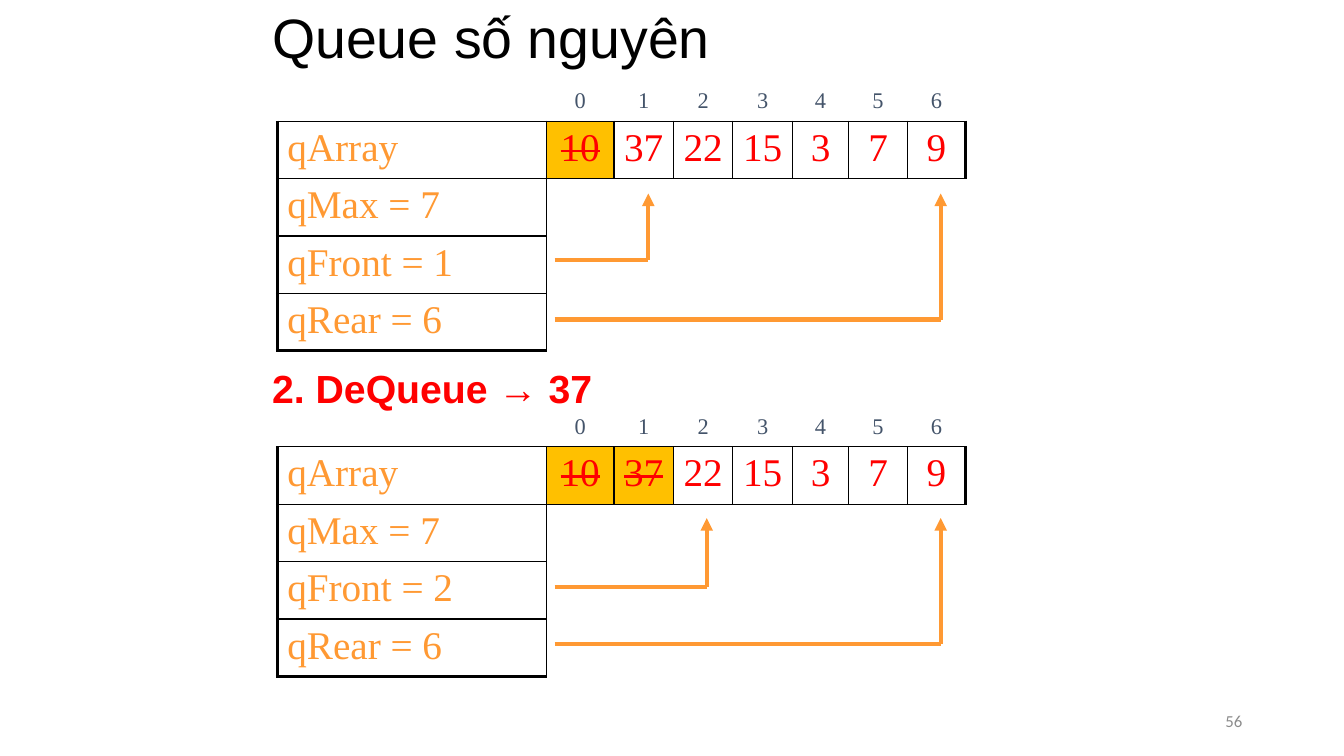
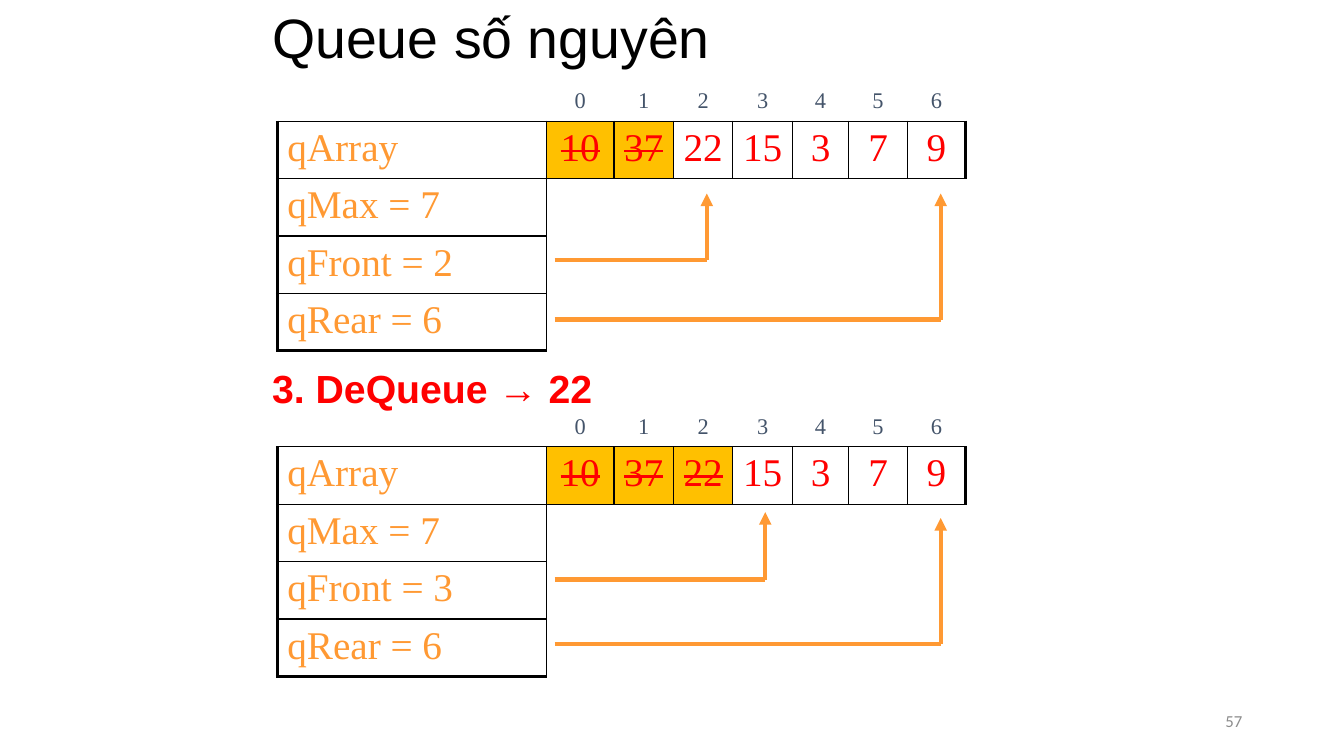
from dataclasses import dataclass

from lxml import etree
from pptx import Presentation
from pptx.dml.color import RGBColor
from pptx.enum.shapes import MSO_CONNECTOR
from pptx.enum.text import MSO_ANCHOR, MSO_AUTO_SIZE, PP_ALIGN
from pptx.oxml.ns import qn
from pptx.util import Inches, Pt

LEFT, CENTER, RIGHT = PP_ALIGN.LEFT, PP_ALIGN.CENTER, PP_ALIGN.RIGHT
TOP, MIDDLE = MSO_ANCHOR.TOP, MSO_ANCHOR.MIDDLE
STRAIGHT = MSO_CONNECTOR.STRAIGHT
NO_AUTOFIT = MSO_AUTO_SIZE.NONE

COLORS = {
    "title": "000000",
    "border": "000000",
    "step": "FF0000",
    "value": "FF0000",
    "label": "FF9933",
    "arrow": "FF9933",
    "removed": "FFC000",
    "index": "44546A",
    "number": "8C8C8C",
}
HEADING_FONT, TABLE_FONT, NUMBER_FONT = "Arial", "Times New Roman", "Calibri"

VALUES = (10, 37, 22, 15, 3, 7, 9)
REAR = len(VALUES) - 1
COLUMN_WIDTHS = (2.67, 0.67, 0.59, 0.59, 0.59, 0.56, 0.58, 0.58)
ROW_HEIGHTS = (0.37, 0.57, 0.57, 0.57, 0.57)
TABLE_LEFT = 2.75
ARROW_LEFT = 5.5
FIRST_TIP, TIP_STEP = 5.85, 0.58
THIN, THICK = 1, 2.25


@dataclass(frozen=True)
class QueueState:
    """A queue after some removals, with the heights of its arrows."""
    top: float
    front: int
    front_y: float
    front_tip: float
    rear_y: float
    rear_tip: float


@dataclass(frozen=True)
class QueuePage:
    number: int
    step: str
    before: QueueState
    after: QueueState


PAGES = (
    QueuePage(56, "2. DeQueue → 37",
              QueueState(0.83, 1, 2.58, 1.92, 3.17, 1.92),
              QueueState(4.06, 2, 5.82, 5.14, 6.39, 5.14)),
    QueuePage(57, "3. DeQueue → 22",
              QueueState(0.83, 2, 2.58, 1.92, 3.17, 1.92),
              QueueState(4.06, 3, 5.75, 5.08, 6.39, 5.14)),
)


def write(frame, text: str, *, font: str, size: float, color: str,
          align=LEFT, bold: bool = False, struck: bool = False):
    para = frame.paragraphs[0]
    para.alignment = align
    span = para.add_run()
    span.text = text
    span.font.name = font
    span.font.size = Pt(size)
    span.font.bold = bold
    span.font.color.rgb = RGBColor.from_string(COLORS[color])
    if struck:
        span.font.element.set("strike", "sngStrike") if hasattr(
            span.font, "element") else span._r.get_or_add_rPr().set("strike", "sngStrike")
    return para


def place(shape, left: float, top: float, width: float, height: float, anchor) -> None:
    shape.left, shape.top = Inches(left), Inches(top)
    shape.width, shape.height = Inches(width), Inches(height)
    frame = shape.text_frame
    frame.word_wrap = True
    frame.auto_size = NO_AUTOFIT
    frame.vertical_anchor = anchor


def add_headings(page, content: QueuePage) -> None:
    title, body = page.shapes.title, page.placeholders[1]
    place(title, 2.6, 0.05, 8.12, 0.7, MIDDLE)
    para = write(title.text_frame, "Queue số nguyên",
                 font=HEADING_FONT, size=39.6, color="title")
    para.line_spacing = 0.9

    place(body, 2.6, 3.62, 8.48, 0.7, TOP)
    para = write(body.text_frame, content.step,
                 font=HEADING_FONT, size=28, color="step", bold=True)
    para.line_spacing = 0.9
    para.space_before = Pt(10)
    properties = para._p.get_or_add_pPr()
    properties.set("marL", "0")
    properties.set("indent", "0")
    etree.SubElement(properties, qn("a:buNone"))

    box = page.shapes.add_textbox(0, 0, 0, 0)
    place(box, 9.42, 6.95, 3, 0.4, MIDDLE)
    write(box.text_frame, str(content.number),
          font=NUMBER_FONT, size=12, color="number", align=RIGHT)


def border_widths(row: int, column: int) -> dict[str, float]:
    """Widths by side in points; 0 means that the side has no line."""
    widths = dict.fromkeys("LRTB", 0)
    if row == 0:
        widths["B"] = THIN
    elif row == 1 or column == 0:
        widths = dict.fromkeys("LRTB", THIN)
        if column == 0:
            widths["L"] = THICK
            if row == len(ROW_HEIGHTS) - 1:
                widths["B"] = THICK
        elif column == len(VALUES):
            widths["R"] = THICK
    else:
        widths["L"] = THIN if column == 1 else 0
        widths["T"] = THIN if row == 2 else 0
    return widths


def set_borders(cell, widths: dict[str, float]) -> None:
    properties = cell._tc.get_or_add_tcPr()
    for side, width in widths.items():
        line = etree.SubElement(properties, qn(f"a:ln{side}"), w=str(Pt(width)))
        if width:
            fill = etree.SubElement(line, qn("a:solidFill"))
            etree.SubElement(fill, qn("a:srgbClr"), val=COLORS["border"])
        else:
            etree.SubElement(line, qn("a:noFill"))


def fill_cell(cell, row: int, column: int, labels: tuple[str, ...], front: int) -> None:
    set_borders(cell, border_widths(row, column))
    index = column - 1
    removed = row == 1 and 0 <= index < front
    if removed:
        cell.fill.solid()
        cell.fill.fore_color.rgb = RGBColor.from_string(COLORS["removed"])
    else:
        cell.fill.background()

    frame = cell.text_frame
    if column == 0 and row > 0:
        write(frame, labels[row - 1], font=TABLE_FONT, size=28, color="label")
    elif column > 0 and row == 0:
        write(frame, str(index), font=TABLE_FONT, size=16, color="index", align=CENTER)
    elif column > 0 and row == 1:
        write(frame, str(VALUES[index]), font=TABLE_FONT, size=28,
              color="value", align=CENTER, struck=removed)
    else:
        etree.SubElement(frame.paragraphs[0]._p, qn("a:endParaRPr"), sz="1600")


def add_queue_table(page, state: QueueState) -> None:
    frame = page.shapes.add_table(
        len(ROW_HEIGHTS), len(COLUMN_WIDTHS), Inches(TABLE_LEFT), Inches(state.top),
        Inches(sum(COLUMN_WIDTHS)), Inches(sum(ROW_HEIGHTS)))
    table = frame.table
    table.first_row = table.horz_banding = False
    for column, width in zip(table.columns, COLUMN_WIDTHS):
        column.width = Inches(width)
    for row, height in zip(table.rows, ROW_HEIGHTS):
        row.height = Inches(height)
    labels = ("qArray", f"qMax = {len(VALUES)}",
              f"qFront = {state.front}", f"qRear = {REAR}")
    for row in range(len(ROW_HEIGHTS)):
        for column in range(len(COLUMN_WIDTHS)):
            fill_cell(table.cell(row, column), row, column, labels, state.front)


def add_line(page, start: tuple[float, float], end: tuple[float, float],
             *, arrow: bool = False) -> None:
    connector = page.shapes.add_connector(
        STRAIGHT, *(Inches(length) for length in start + end))
    connector.line.width = Pt(3)
    connector.line.color.rgb = RGBColor.from_string(COLORS["arrow"])
    properties = connector.element.spPr
    if arrow:
        etree.SubElement(properties.find(qn("a:ln")), qn("a:tailEnd"), type="triangle")
    etree.SubElement(properties, qn("a:effectLst"))


def add_pointer(page, index: int, base: float, tip: float) -> None:
    """Draw a line from a label and an arrow up to the array cell."""
    x = FIRST_TIP + TIP_STEP * index
    add_line(page, (ARROW_LEFT, base), (x, base))
    add_line(page, (x, base), (x, tip), arrow=True)


def add_queue(page, state: QueueState) -> None:
    add_queue_table(page, state)
    add_pointer(page, state.front, state.front_y, state.front_tip)
    add_pointer(page, REAR, state.rear_y, state.rear_tip)


def main() -> None:
    deck = Presentation()
    deck.slide_width, deck.slide_height = Inches(13.33), Inches(7.5)
    for content in PAGES:
        page = deck.slides.add_slide(deck.slide_layouts[1])
        add_headings(page, content)
        add_queue(page, content.after)
        add_queue(page, content.before)
    deck.save("out.pptx")


if __name__ == "__main__":
    main()
